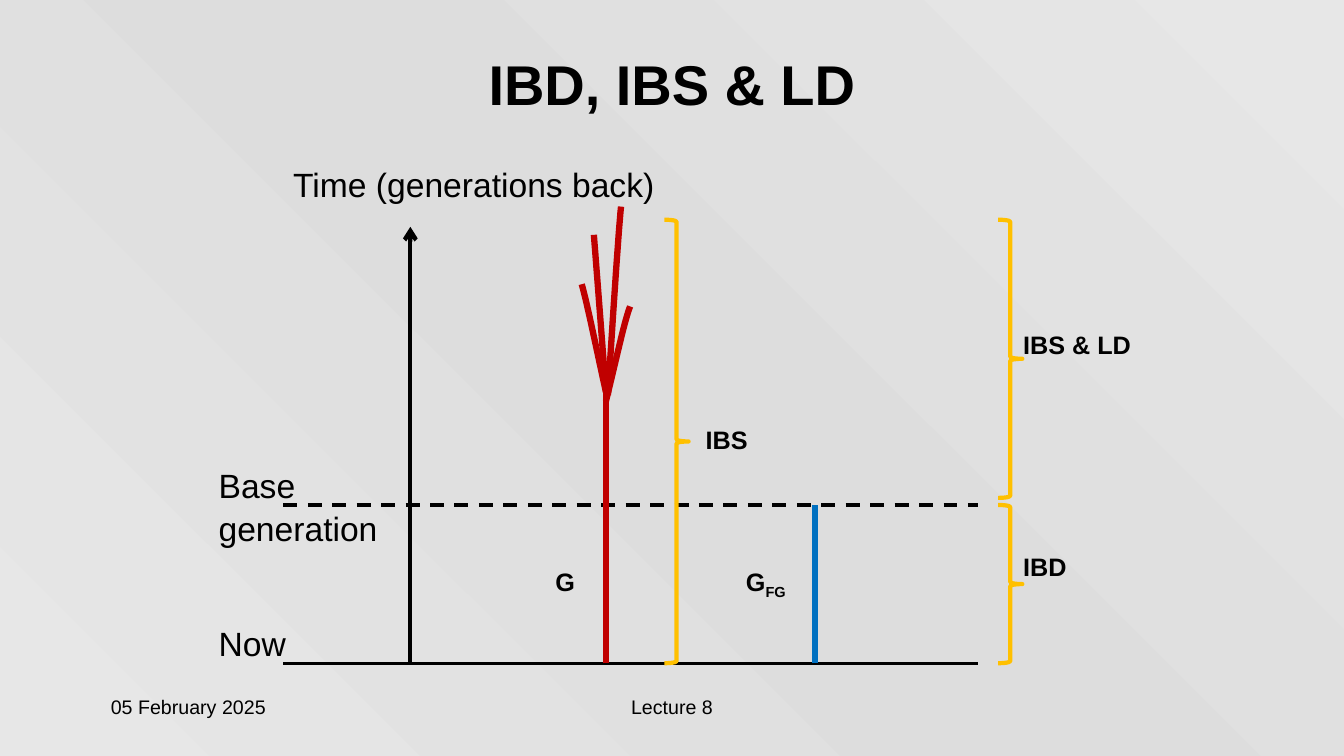
import copy
from dataclasses import dataclass

import pptx
import pptx.dml.color
import pptx.enum.dml
import pptx.enum.shapes
import pptx.enum.text
import pptx.oxml
import pptx.oxml.ns
import pptx.util

Inches, Pt = pptx.util.Inches, pptx.util.Pt
RGB = pptx.dml.color.RGBColor.from_string
ALIGN = pptx.enum.text.PP_ALIGN
ANCHOR = pptx.enum.text.MSO_ANCHOR
DASH = pptx.enum.dml.MSO_LINE.DASH
NS = pptx.oxml.ns.nsdecls("a")


@dataclass(frozen=True)
class Theme:
    font: str = "Arial"
    ink: str = "000000"
    tree: str = "C00000"
    founder: str = "0070C0"
    brace: str = "FFC000"
    background: tuple = ("E7E7E7", "DDDDDD", "E7E7E7")
    title: int = 40
    axis: int = 24
    label: int = 18
    footer: int = 14
    line_spacing: float = 1.06
    thick: float = 4.5


THEME = Theme()


def add_text(slide, text, x, y, w, h, size=THEME.label, bold=False,
             align=ALIGN.LEFT, anchor=ANCHOR.TOP, subscript=""):
    tf = slide.shapes.add_textbox(Inches(x), Inches(y), Inches(w), Inches(h)).text_frame
    tf.word_wrap = True
    tf.vertical_anchor = anchor
    p = tf.paragraphs[0]
    p.alignment = align
    p.line_spacing = THEME.line_spacing
    for part in filter(None, (text, subscript)):
        r = p.add_run()
        r.text = part
        r.font.name, r.font.size, r.font.bold = THEME.font, Pt(size), bold
        r.font.color.rgb = RGB(THEME.ink)
    if subscript:
        r.font._element.set("baseline", "-25000")


def style_line(sp, color, width):
    sp.line.color.rgb = RGB(color)
    sp.line.width = Pt(width)


def add_line(slide, x1, y1, x2, y2, color=THEME.ink, width=3, dash=None, arrow=False):
    sp = slide.shapes.add_connector(pptx.enum.shapes.MSO_CONNECTOR.STRAIGHT,
                                    Inches(x1), Inches(y1), Inches(x2), Inches(y2))
    style_line(sp, color, width)
    if dash:
        sp.line.dash_style = dash
    if arrow:
        sp.line._get_or_add_ln().append(
            pptx.oxml.parse_xml(f'<a:tailEnd {NS} type="arrow"/>'))
    sp._element.spPr.append(pptx.oxml.parse_xml(f"<a:effectLst {NS}/>"))


def add_curve(slide, points, color, width, steps=16):
    """Trace a cubic curve through its four control points."""
    def at(t):
        weights = ((1 - t) ** 3, 3 * t * (1 - t) ** 2, 3 * t * t * (1 - t), t ** 3)
        return tuple(Inches(sum(k * pt[i] for k, pt in zip(weights, points)))
                     for i in (0, 1))

    trace = [at(n / steps) for n in range(steps + 1)]
    builder = slide.shapes.build_freeform(*trace[0])
    builder.add_line_segments(trace[1:], close=False)
    sp = builder.convert_to_shape()
    sp.shadow.inherit = False
    sp.fill.background()
    style_line(sp, color, width)


def add_brace(slide, x, top, bottom):
    sp = slide.shapes.add_shape(pptx.enum.shapes.MSO_SHAPE.RIGHT_BRACE, Inches(x),
                                Inches(top), Inches(0.24), Inches(bottom - top))
    sp.shadow.inherit = False
    sp.fill.background()
    style_line(sp, THEME.brace, 3)


def set_background(slide):
    fill = slide.background.fill
    fill.gradient()
    fill.gradient_angle = 45
    stops = fill.gradient_stops[0]._gs.getparent()
    for extra in list(stops)[2:]:
        stops.remove(extra)
    stops.append(copy.deepcopy(stops[0]))
    for i, (stop, color) in enumerate(zip(fill.gradient_stops, THEME.background)):
        stop.position = i / 2
        stop.color.rgb = RGB(color)


def add_footer(slide, x, y, w, h):
    add_text(slide, "05 February 2025", x, y, 2.78, h, size=THEME.footer)
    add_text(slide, "Lecture 8", x + (w - 4.22) / 2, y, 4.22, h,
             size=THEME.footer, align=ALIGN.CENTER)


def add_axes(slide, x, y, w, h, base):
    now = y + h
    add_line(slide, x + 1.26, now, x + 1.26, y + 0.07, arrow=True)
    add_line(slide, x, base, x + w, base, width=2.5, dash=DASH)
    add_line(slide, x, now, x + w, now, width=2.25)
    add_text(slide, "Time (generations back)", x, y - 0.63, 4.02, 0.5, size=THEME.axis)
    for text, top, height in (("Base generation", base - 0.47, 0.91),
                              ("Now", now - 0.47, 0.5)):
        add_text(slide, text, x - 0.74, top, 2.31, height, size=THEME.axis)


def add_tree(slide, x, fork, now):
    add_line(slide, x, now, x, fork, THEME.tree, THEME.thick)
    # Control points of each branch, as offsets from the fork
    branches = (((0, 0.09), (0.08, -0.22), (0.18, -0.7), (0.24, -0.85)),
                ((0.02, 0.03), (0.06, -0.59), (0.12, -1.54), (0.15, -1.84)),
                ((0, 0), (-0.08, -0.36), (-0.19, -0.9), (-0.24, -1.07)),
                ((0, 0), (-0.04, -0.52), (-0.1, -1.31), (-0.12, -1.56)))
    for branch in branches:
        add_curve(slide, [(x + dx, fork + dy) for dx, dy in branch],
                  THEME.tree, THEME.thick)


def add_diagram(slide, x, y, w, h):
    base, now = y + 2.83, y + h
    add_axes(slide, x, y, w, h, base)
    add_tree(slide, x + 3.2, y + 1.71, now)
    add_line(slide, x + 5.27, now, x + 5.27, base, THEME.founder, THEME.thick)
    # Braces: offset from the left, top, bottom
    for dx, top, bottom in ((7.09, base, now), (7.09, y, base - 0.07), (3.78, y, now)):
        add_brace(slide, x + dx, top, bottom)
    # Labels: text, subscript, offset from the left and top
    for text, sub, dx, dy in (("G", "", 2.6, 3.37), ("G", "FG", 4.49, 3.37),
                              ("IBD", "", 7.24, 3.22), ("IBS & LD", "", 7.24, 1.02),
                              ("IBS", "", 4.09, 1.96)):
        add_text(slide, text, x + dx, y + dy, 1.34, 0.4, bold=True, subscript=sub)


def main():
    prs = pptx.Presentation()
    prs.slide_width, prs.slide_height = Inches(13.33), Inches(7.5)
    slide = prs.slides.add_slide(prs.slide_layouts[6])
    set_background(slide)
    add_text(slide, "IBD, IBS & LD", 0.26, 0.3, 12.81, 1.01, size=THEME.title,
             bold=True, align=ALIGN.CENTER, anchor=ANCHOR.MIDDLE)
    add_footer(slide, 1, 6.83, 11.33, 0.5)
    add_diagram(slide, 2.81, 2.18, 6.89, 4.4)
    prs.save("out.pptx")


if __name__ == "__main__":
    main()
